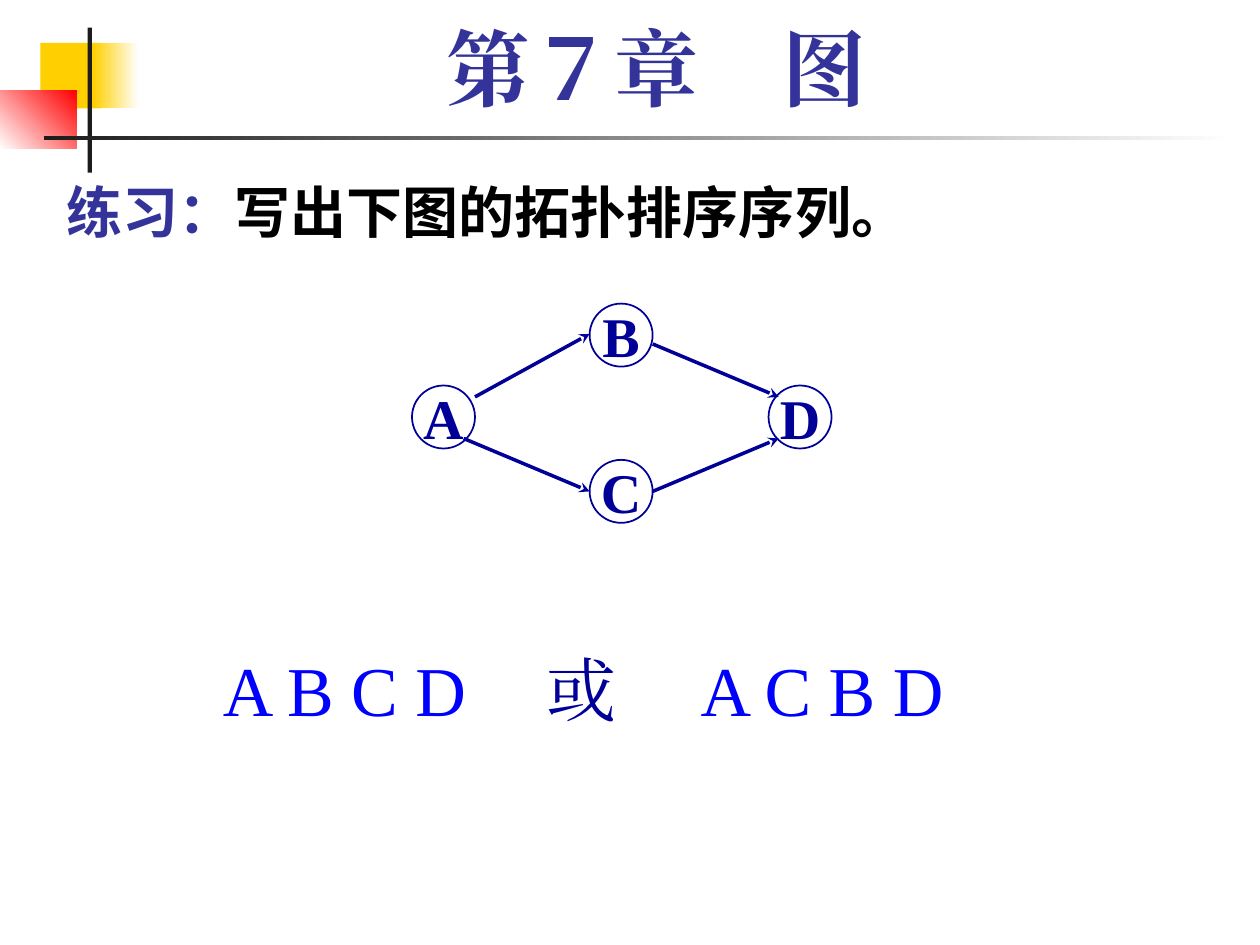
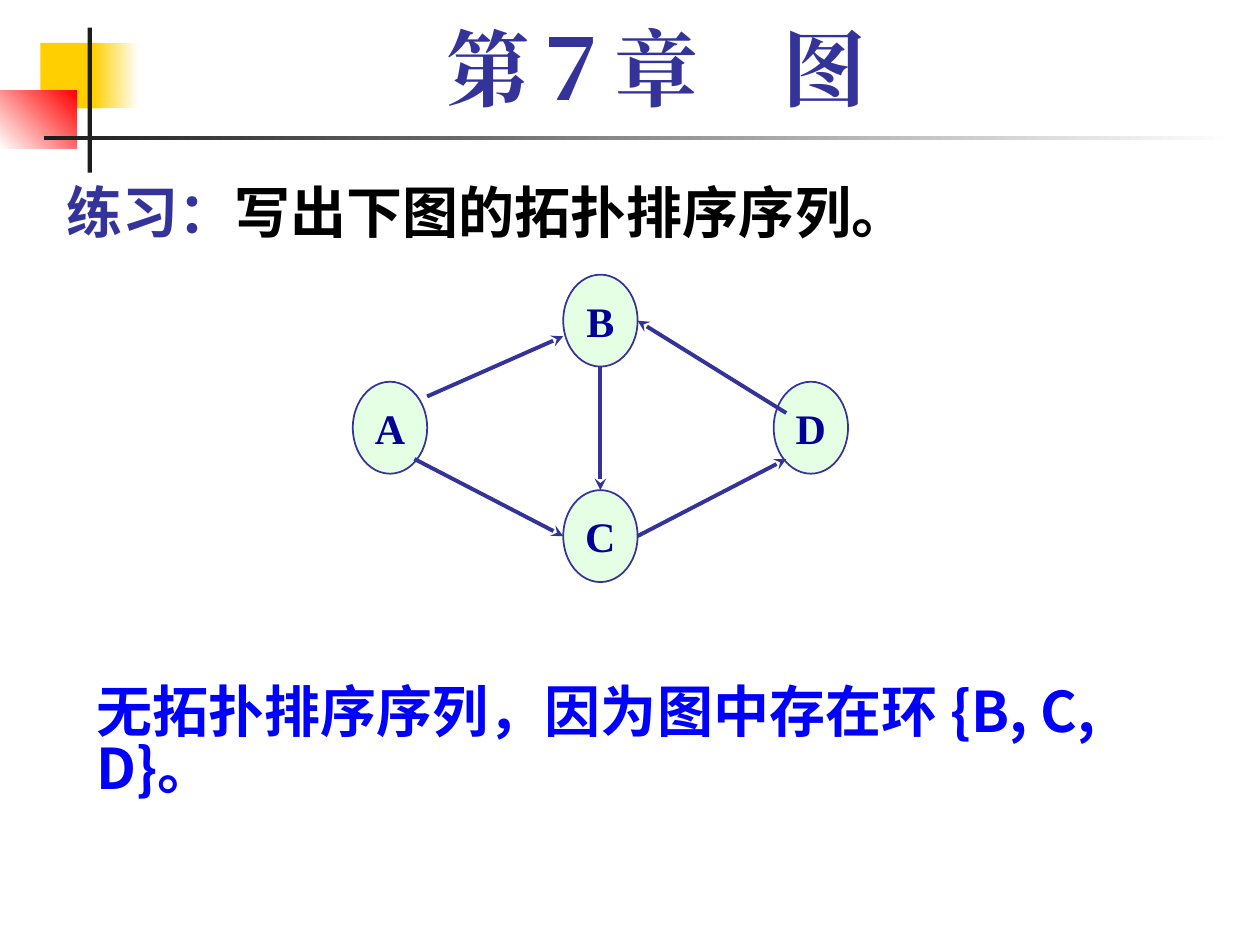
import dataclasses
import typing

import lxml.etree
import pptx
import pptx.dml.color
import pptx.enum.shapes
import pptx.enum.text
import pptx.oxml.ns
import pptx.util

ANCHOR = pptx.enum.text.MSO_ANCHOR
ALIGN = pptx.enum.text.PP_ALIGN
AUTO_SIZE = pptx.enum.text.MSO_AUTO_SIZE
SHAPE = pptx.enum.shapes.MSO_SHAPE
CONNECTOR = pptx.enum.shapes.MSO_CONNECTOR

# Slide grid: 100 columns by 75 rows
SLIDE_W, SLIDE_H = pptx.util.Inches(10), pptx.util.Inches(7.5)
COLUMNS, ROWS = 100, 75


@dataclasses.dataclass(frozen=True)
class Theme:
    serif: str = "Times New Roman"
    sans: str = "Noto Sans CJK SC"
    indigo: str = "333399"
    navy: str = "000099"
    answer: str = "0000FF"
    black: str = "000000"
    white: str = "FFFFFF"
    charcoal: str = "1C1C1C"
    yellow: str = "FFCF01"
    red: str = "FF0000"
    mint: str = "CCFFCC"
    title_size: float = 48
    answer_size: float = 40
    body_size: float = 32
    small_size: float = 24


THEME = Theme()


class Box(typing.NamedTuple):
    """Left, top, width and height in grid columns and rows."""
    col: float
    row: float
    cols: float
    rows: float

    def emu(self) -> tuple[int, int, int, int]:
        return x(self.col), y(self.row), x(self.cols), y(self.rows)

    def point(self, share: tuple[float, float]) -> tuple[int, int]:
        return x(self.col + share[0] * self.cols), y(self.row + share[1] * self.rows)


class Run(typing.NamedTuple):
    text: str
    font: str
    size: float
    color: str
    bold: bool = True


class Bar(typing.NamedTuple):
    box: Box
    color: str
    end: str | None = None
    angle: float = 0


class Edge(typing.NamedTuple):
    """Arrow between two nodes; ports are shares of each node's box."""
    start: str
    start_port: tuple[float, float]
    end: str
    end_port: tuple[float, float]


@dataclasses.dataclass(frozen=True)
class TextBlock:
    box: Box
    runs: list[Run]
    align: ALIGN = ALIGN.LEFT
    anchor: ANCHOR = ANCHOR.TOP
    line_spacing: float = 1
    space_before: float = 0
    inset_left: float = 1
    inset_bottom: float = 0.5
    tabs: tuple[float, ...] = ()
    grow: bool = False


@dataclasses.dataclass(frozen=True)
class Graph:
    node_size: tuple[float, float]
    nodes: dict[str, tuple[float, float]]
    edges: list[Edge]
    text_size: float
    line_color: str
    edge_width: float
    fill: str | None = None


def x(cols: float) -> int:
    return round(SLIDE_W * cols / COLUMNS)


def y(rows: float) -> int:
    return round(SLIDE_H * rows / ROWS)


def rgb(color: str) -> pptx.dml.color.RGBColor:
    return pptx.dml.color.RGBColor.from_string(color)


def sub(parent, tag: str, **attrs: str):
    return lxml.etree.SubElement(parent, pptx.oxml.ns.qn(tag), **attrs)


# Text
def add_run(p, run: Run) -> None:
    r = p.add_run()
    r.text = run.text
    r.font.name = run.font
    r.font.size = pptx.util.Pt(run.size)
    r.font.bold = run.bold
    r.font.color.rgb = rgb(run.color)
    sub(r.font._element, "a:ea", typeface=run.font)


def add_text(slide, block: TextBlock) -> None:
    tf = slide.shapes.add_textbox(*block.box.emu()).text_frame
    tf.word_wrap = True
    tf.auto_size = AUTO_SIZE.SHAPE_TO_FIT_TEXT if block.grow else AUTO_SIZE.NONE
    tf.vertical_anchor = block.anchor
    tf.margin_left, tf.margin_bottom = x(block.inset_left), y(block.inset_bottom)
    p = tf.paragraphs[0]
    p.alignment = block.align
    p.line_spacing = block.line_spacing
    p.space_before = pptx.util.Pt(block.space_before)
    if block.tabs:
        tab_list = sub(p._p.get_or_add_pPr(), "a:tabLst")
        for tab in block.tabs:
            sub(tab_list, "a:tab", pos=str(x(tab)), algn="l")
    for run in block.runs:
        add_run(p, run)


# Header decoration
def add_bar(slide, bar: Bar) -> None:
    sp = slide.shapes.add_shape(SHAPE.RECTANGLE, *bar.box.emu())
    sp.shadow.inherit = False
    sp.line.fill.background()
    if bar.end is None:
        sp.fill.solid()
        sp.fill.fore_color.rgb = rgb(bar.color)
        return
    sp.fill.gradient()
    sp.fill.gradient_angle = bar.angle
    for stop, color in zip(sp.fill.gradient_stops, (bar.color, bar.end)):
        stop.color.rgb = rgb(color)


# Graph drawing
def add_node(group, name: str, box: Box, graph: Graph) -> None:
    sp = group.shapes.add_shape(SHAPE.OVAL, *box.emu())
    sp.shadow.inherit = False
    sp.line.color.rgb = rgb(graph.line_color)
    sp.line.width = pptx.util.Pt(1)
    if graph.fill:
        sp.fill.solid()
        sp.fill.fore_color.rgb = rgb(graph.fill)
        color = sp._element.spPr.find(".//" + pptx.oxml.ns.qn("a:srgbClr"))
        sub(color, "a:alpha", val="50000")
    else:
        sp.fill.background()
    tf = sp.text_frame
    tf.word_wrap = False
    tf.vertical_anchor = ANCHOR.MIDDLE
    p = tf.paragraphs[0]
    p.alignment = ALIGN.CENTER
    add_run(p, Run(name, THEME.serif, graph.text_size, THEME.navy))


def add_graph(slide, graph: Graph) -> None:
    group = slide.shapes.add_group_shape()
    boxes = {name: Box(*at, *graph.node_size) for name, at in graph.nodes.items()}
    for name, box in boxes.items():
        add_node(group, name, box, graph)
    for edge in graph.edges:
        start = boxes[edge.start].point(edge.start_port)
        end = boxes[edge.end].point(edge.end_port)
        line = group.shapes.add_connector(CONNECTOR.STRAIGHT, *start, *end)
        line.line.color.rgb = rgb(graph.line_color)
        line.line.width = pptx.util.Pt(graph.edge_width)
        sub(line.line._get_or_add_ln(), "a:tailEnd", type="stealth")
        sub(line._element.spPr, "a:effectLst")


# Shared content
HEADER_BARS = [
    Bar(Box(3.2, 3.4, 4.8, 5.2), THEME.yellow),
    Bar(Box(7.4, 3.4, 3.6, 5.2), THEME.yellow, THEME.white),
    Bar(Box(0, 7.2, 6.1, 4.6), THEME.white, THEME.red, 45),
    Bar(Box(6.95, 2.2, 0.35, 11.5), THEME.charcoal),
    Bar(Box(3.5, 10.8, 94.5, 0.35), THEME.charcoal, THEME.white),
]
PROMPT = TextBlock(
    Box(4.3, 13.1, 89.8, 6.3),
    [Run("练习：", THEME.sans, THEME.body_size, THEME.indigo),
     Run("写出下图的拓扑排序序列。", THEME.sans, THEME.body_size, THEME.black)],
    anchor=ANCHOR.BOTTOM, line_spacing=1.5, inset_bottom=0)
TITLE = TextBlock(
    Box(6.7, 1.7, 90.8, 8.3),
    [Run("第７章　图", THEME.serif, THEME.title_size, THEME.indigo)],
    align=ALIGN.CENTER, line_spacing=0.9, space_before=4)

# Slide 1: graph with two topological orders
ACYCLIC_GRAPH = Graph(
    node_size=(5, 5),
    nodes={"B": (46.8, 24.1), "D": (61, 30.6), "A": (32.7, 30.6), "C": (46.8, 36.5)},
    edges=[Edge("A", (1, 0.18), "B", (0, 0.48)),
           Edge("A", (0.82, 0.84), "C", (0, 0.5)),
           Edge("B", (1, 0.64), "D", (0.16, 0.18)),
           Edge("C", (1, 0.5), "D", (0.16, 0.84))],
    text_size=THEME.body_size, line_color=THEME.navy, edge_width=2)
ORDERS = TextBlock(
    Box(4.2, 50.8, 90, 7.7),
    [Run(text, THEME.serif, THEME.answer_size, color, False)
     for text, color in (("A B C D\t", THEME.answer), ("或\t", THEME.navy),
                         ("A C B D", THEME.answer))],
    space_before=5, inset_left=13.5, tabs=(25.7, 37.9), grow=True)

# Slide 2: graph with a cycle
CYCLIC_GRAPH = Graph(
    node_size=(5.9, 7.3),
    nodes={"B": (44.7, 21.8), "D": (61.4, 30.3), "A": (28, 30.3), "C": (44.7, 38.9)},
    edges=[Edge("A", (1, 0.16), "B", (0, 0.67)),
           Edge("A", (0.83, 0.84), "C", (0, 0.5)),
           Edge("C", (1, 0.5), "D", (0.17, 0.84)),
           Edge("D", (0.17, 0.34), "B", (1, 0.5)),
           Edge("B", (0.5, 1), "C", (0.5, 0))],
    text_size=THEME.small_size, line_color=THEME.indigo, edge_width=2.25,
    fill=THEME.mint)
NO_ORDER = TextBlock(
    Box(6.7, 54, 89, 6.3),
    [Run("无拓扑排序序列，因为图中存在环 {B, C, D}。",
         THEME.sans, THEME.body_size, THEME.answer)],
    line_spacing=0.85, grow=True)


def add_exercise(prs, graph: Graph, answer: TextBlock) -> None:
    slide = prs.slides.add_slide(prs.slide_layouts[6])
    for bar in HEADER_BARS:
        add_bar(slide, bar)
    add_graph(slide, graph)
    for block in (answer, PROMPT, TITLE):
        add_text(slide, block)


def main() -> None:
    prs = pptx.Presentation()
    prs.slide_width, prs.slide_height = SLIDE_W, SLIDE_H
    add_exercise(prs, ACYCLIC_GRAPH, ORDERS)
    add_exercise(prs, CYCLIC_GRAPH, NO_ORDER)
    prs.save("out.pptx")


if __name__ == "__main__":
    main()
